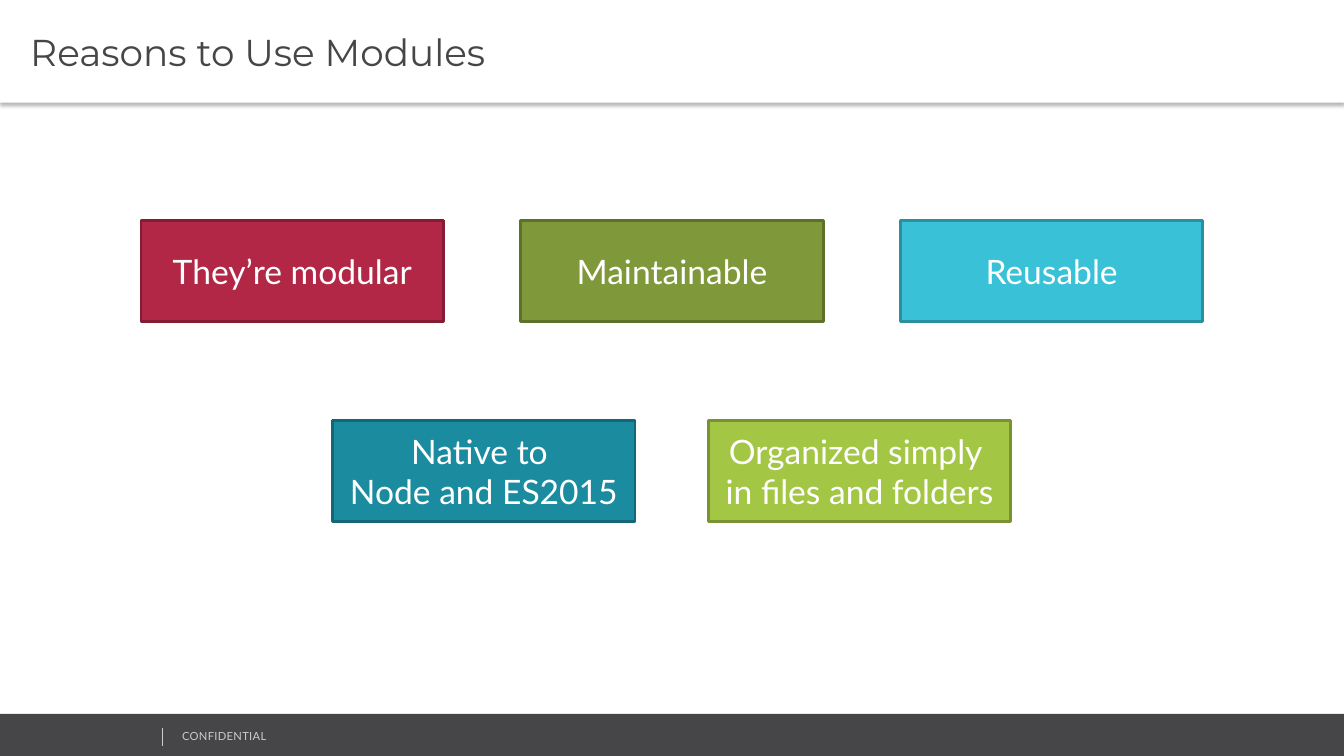
from lxml import etree
from pptx import Presentation
from pptx.dml.color import RGBColor
from pptx.enum.shapes import MSO_CONNECTOR, MSO_SHAPE
from pptx.enum.text import MSO_ANCHOR, MSO_AUTO_SIZE, PP_ALIGN
from pptx.oxml import parse_xml
from pptx.oxml.ns import nsdecls, qn
from pptx.util import Pt

RECTANGLE = MSO_SHAPE.RECTANGLE
STRAIGHT = MSO_CONNECTOR.STRAIGHT
MIDDLE = MSO_ANCHOR.MIDDLE
FIXED = MSO_AUTO_SIZE.NONE
LEFT, CENTER = PP_ALIGN.LEFT, PP_ALIGN.CENTER

WHITE = RGBColor(0xFF, 0xFF, 0xFF)
CHARCOAL = RGBColor(0x46, 0x45, 0x47)
SILVER = RGBColor(0xCC, 0xCC, 0xCC)
CRIMSON = RGBColor(0xB2, 0x27, 0x46)
DARK_CRIMSON = RGBColor(0x84, 0x1D, 0x34)
OLIVE = RGBColor(0x7F, 0x99, 0x3A)
DARK_OLIVE = RGBColor(0x5E, 0x71, 0x2B)
CYAN = RGBColor(0x39, 0xC2, 0xD7)
DARK_CYAN = RGBColor(0x2A, 0x90, 0x9F)
TEAL = RGBColor(0x1B, 0x8B, 0xA0)
DARK_TEAL = RGBColor(0x14, 0x67, 0x76)
LIME = RGBColor(0xA3, 0xC6, 0x44)
DARK_LIME = RGBColor(0x79, 0x92, 0x32)

WIDTH, HEIGHT = 960, 540
BOX_WIDTH, BOX_HEIGHT = 216, 72
TITLE_FONT = {"name": "Montserrat", "size": Pt(26.7), "bold": False}
BOX_FONT = {"name": "Lato", "size": Pt(24)}
FOOTER_FONT = {"name": "Lato", "size": Pt(8)}
TITLE_FRAME = {"margin_left": Pt(21.6), "margin_right": Pt(5), "margin_top": Pt(3),
               "margin_bottom": Pt(3), "word_wrap": True}

ROWS = [
    (100.8, 157.5, 271.2, [
        ("They’re modular", CRIMSON, DARK_CRIMSON),
        ("Maintainable", OLIVE, DARK_OLIVE),
        ("Reusable", CYAN, DARK_CYAN),
    ]),
    (237.6, 300.4, 268.4, [
        ("Native to \vNode and ES2015", TEAL, DARK_TEAL),
        ("Organized simply \vin files and folders", LIME, DARK_LIME),
    ]),
]


class SlideBuilder:
    """Draws styled elements on the current slide, with lengths in points."""

    def __init__(self, page):
        self.page = page

    def set_text(self, shape, text, font, color, align, frame_format):
        frame = shape.text_frame
        frame_values = {"auto_size": FIXED, "vertical_anchor": MIDDLE, **frame_format}
        for name, value in frame_values.items():
            setattr(frame, name, value)
        para = frame.paragraphs[0]
        para.text = text
        para.alignment = align
        for span in para.runs:
            for name, value in font.items():
                setattr(span.font, name, value)
            span.font.color.rgb = color
        return para

    def title(self, text, height):
        title = self.page.shapes.title
        place = {"left": 0, "top": 0, "width": Pt(WIDTH), "height": Pt(height)}
        for name, value in place.items():
            setattr(title, name, value)
        title.fill.solid()
        title.fill.fore_color.rgb = WHITE
        title.line.fill.background()
        title._element.spPr.append(parse_xml(
            f'<a:effectLst {nsdecls("a")}>'
            f'<a:outerShdw blurRad="{Pt(3.1)}" dist="{Pt(2)}" dir="5400000" '
            'algn="t" rotWithShape="0">'
            '<a:srgbClr val="000000"><a:alpha val="30000"/></a:srgbClr>'
            '</a:outerShdw></a:effectLst>'))
        self.set_text(title, text, TITLE_FONT, CHARCOAL, LEFT, TITLE_FRAME)

    def box(self, left, top, width, height, fill, border=None):
        box = self.page.shapes.add_shape(
            RECTANGLE, Pt(left), Pt(top), Pt(width), Pt(height))
        box.shadow.inherit = False
        box.fill.solid()
        box.fill.fore_color.rgb = fill
        if border is None:
            box.line.fill.background()
        else:
            box.line.color.rgb = border
            box.line.width = Pt(2)
        return box

    def reason(self, left, top, text, fill, border):
        box = self.box(left, top, BOX_WIDTH, BOX_HEIGHT, fill, border)
        self.set_text(box, text, BOX_FONT, WHITE, CENTER, {"word_wrap": False})

    def label(self, left, top, width, height, text):
        label = self.page.shapes.add_textbox(Pt(left), Pt(top), Pt(width), Pt(height))
        para = self.set_text(label, text, FOOTER_FONT, SILVER, LEFT, {"word_wrap": True})
        for span in para.runs:
            span._r.get_or_add_rPr().set("spc", "20")

    def divider(self, left, top, bottom):
        line = self.page.shapes.add_connector(
            STRAIGHT, Pt(left), Pt(top), Pt(left), Pt(bottom))
        line.line.color.rgb = SILVER
        line.line.width = Pt(0.25)
        etree.SubElement(line._element.spPr, qn("a:effectLst"))


def main():
    deck = Presentation()
    deck.slide_width, deck.slide_height = Pt(WIDTH), Pt(HEIGHT)
    builder = SlideBuilder(deck.slides.add_slide(deck.slide_layouts[5]))
    builder.title("Reasons to Use Modules", 73.4)
    builder.box(0, 510, WIDTH, 30, CHARCOAL)
    builder.label(123, 517, 243.4, 17.3, "CONFIDENTIAL")
    builder.divider(116, 520, 533)
    for left, top, step, reasons in ROWS:
        for column, (text, fill, border) in enumerate(reasons):
            builder.reason(left + column * step, top, text, fill, border)
    deck.save("out.pptx")


if __name__ == "__main__":
    main()
